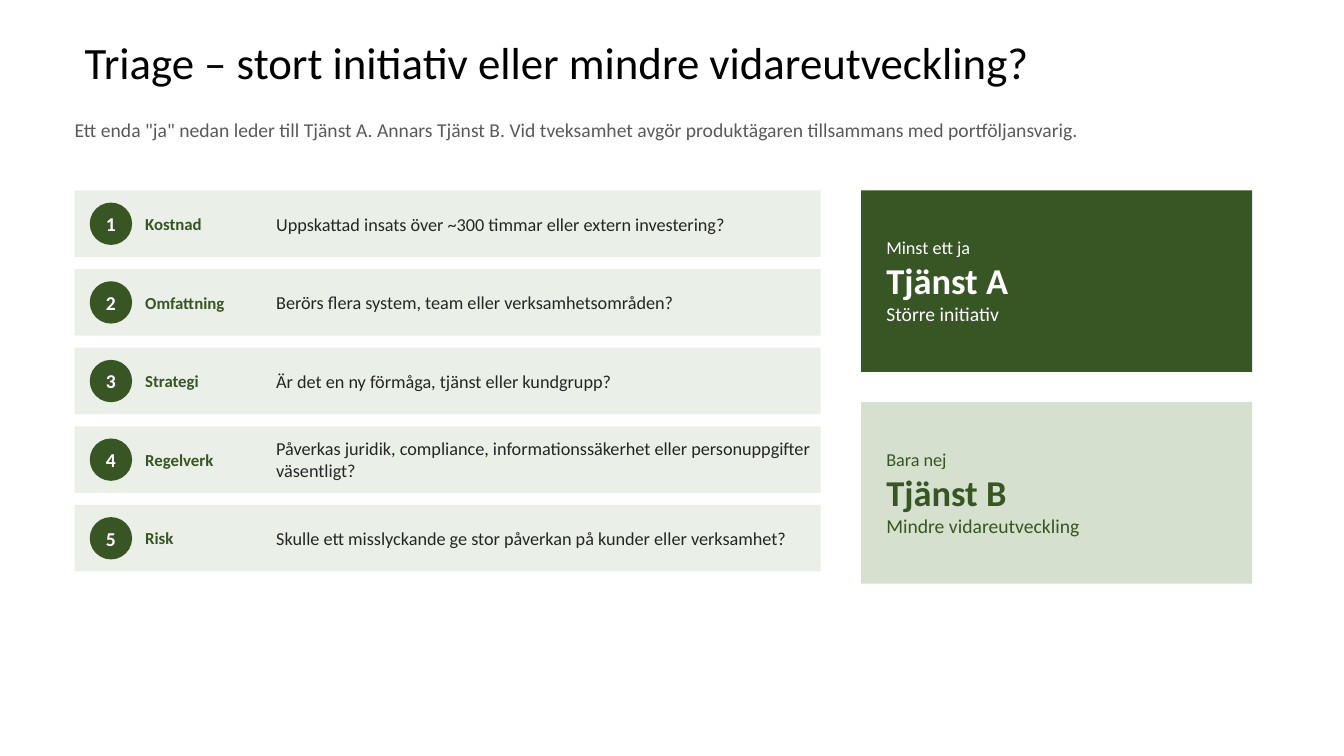
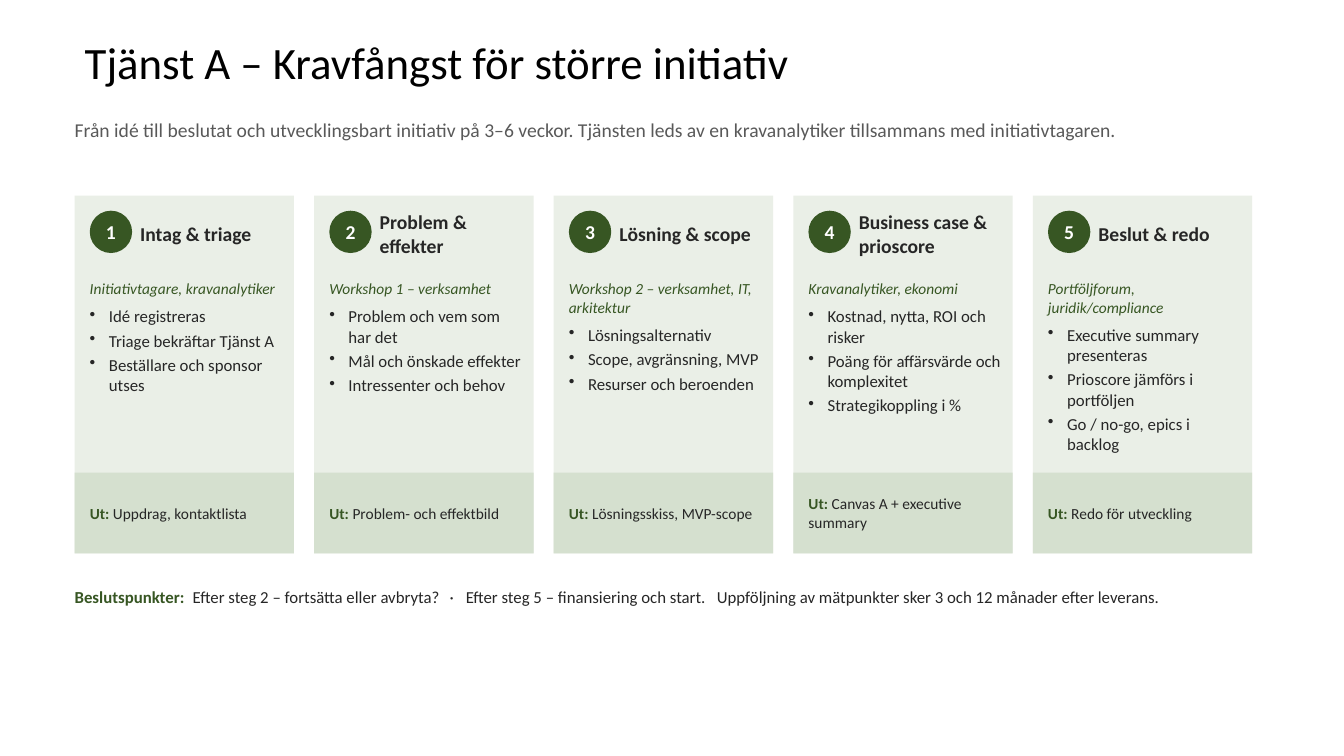
"""Build two slides on triage and the steps of Tjänst A."""
from lxml.etree import SubElement
from pptx import Presentation
from pptx.dml.color import RGBColor
from pptx.enum.shapes import MSO_SHAPE
from pptx.enum.text import MSO_ANCHOR, PP_ALIGN
from pptx.oxml.ns import qn
from pptx.util import Inches, Pt

DARK_GREEN = RGBColor(0x37, 0x56, 0x23)
MID_GREEN = RGBColor(0xD5, 0xE0, 0xCF)
PALE_GREEN = RGBColor(0xEA, 0xEF, 0xE7)
TEXT = RGBColor(0x26, 0x26, 0x26)
GREY = RGBColor(0x59, 0x59, 0x59)
BLACK = RGBColor(0, 0, 0)
WHITE = RGBColor(255, 255, 255)

FONT = "Calibri"
LEFT, CONTENT_WIDTH = 0.74, 11.68
BADGE = 0.42
PADDING = 0.15
STYLES = {
    "title": {"size": Pt(32), "bold": False},
    "subtitle": {"size": Pt(14), "bold": False},
    "heading": {"size": Pt(14), "bold": True},
    "label": {"size": Pt(12), "bold": True},
    "body": {"size": Pt(12), "bold": False},
    "question": {"size": Pt(13), "bold": False},
    "service": {"size": Pt(26), "bold": True},
    "roles": {"size": Pt(11), "italic": True},
    "output_label": {"size": Pt(11), "bold": True},
    "output": {"size": Pt(11), "bold": False},
}


def write(shape, paragraphs, side=0, anchor=MSO_ANCHOR.MIDDLE, alignment=PP_ALIGN.LEFT):
    """Fill a shape with paragraphs, each a list of (text, style, colour) runs."""
    frame = shape.text_frame
    frame_format = {
        "word_wrap": True, "vertical_anchor": anchor,
        "margin_left": Inches(side), "margin_right": Inches(side),
        "margin_top": Inches(0.08), "margin_bottom": Inches(0.08),
    }
    for name, value in frame_format.items():
        setattr(frame, name, value)
    for index, runs in enumerate(paragraphs):
        paragraph = frame.add_paragraph() if index else frame.paragraphs[0]
        paragraph.alignment = alignment
        for text, style, colour in runs:
            run = paragraph.add_run()
            run.text = text
            for name, value in {"name": FONT, **STYLES[style]}.items():
                setattr(run.font, name, value)
            run.font.color.rgb = colour
    return frame.paragraphs


def add_block(slide, kind, left, top, width, height, fill):
    """Add a filled shape without outline or shadow."""
    shape = slide.shapes.add_shape(kind, Inches(left), Inches(top), Inches(width), Inches(height))
    shape.shadow.inherit = False
    shape.fill.solid()
    shape.fill.fore_color.rgb = fill
    shape.line.fill.background()
    return shape


criteria = [
    ("Kostnad", "Uppskattad insats över ~300 timmar eller extern investering?"),
    ("Omfattning", "Berörs flera system, team eller verksamhetsområden?"),
    ("Strategi", "Är det en ny förmåga, tjänst eller kundgrupp?"),
    ("Regelverk", "Påverkas juridik, compliance, informationssäkerhet eller personuppgifter väsentligt?"),
    ("Risk", "Skulle ett misslyckande ge stor påverkan på kunder eller verksamhet?"),
]
services = [
    ("Minst ett ja", "Tjänst A", "Större initiativ", DARK_GREEN, WHITE),
    ("Bara nej", "Tjänst B", "Mindre vidareutveckling", MID_GREEN, DARK_GREEN),
]
steps = [
    ("Intag & triage", "Initiativtagare, kravanalytiker",
     ["Idé registreras", "Triage bekräftar Tjänst A", "Beställare och sponsor utses"],
     "Uppdrag, kontaktlista"),
    ("Problem & effekter", "Workshop 1 – verksamhet",
     ["Problem och vem som har det", "Mål och önskade effekter", "Intressenter och behov"],
     "Problem- och effektbild"),
    ("Lösning & scope", "Workshop 2 – verksamhet, IT, arkitektur",
     ["Lösningsalternativ", "Scope, avgränsning, MVP", "Resurser och beroenden"],
     "Lösningsskiss, MVP-scope"),
    ("Business case & prioscore", "Kravanalytiker, ekonomi",
     ["Kostnad, nytta, ROI och risker", "Poäng för affärsvärde och komplexitet", "Strategikoppling i %"],
     "Canvas A + executive summary"),
    ("Beslut & redo", "Portföljforum, juridik/compliance",
     ["Executive summary presenteras", "Prioscore jämförs i portföljen", "Go / no-go, epics i backlog"],
     "Redo för utveckling"),
]
headers = [
    ("Triage – stort initiativ eller mindre vidareutveckling?",
     'Ett enda "ja" nedan leder till Tjänst A. Annars Tjänst B. '
     "Vid tveksamhet avgör produktägaren tillsammans med portföljansvarig."),
    ("Tjänst A – Kravfångst för större initiativ",
     "Från idé till beslutat och utvecklingsbart initiativ på 3–6 veckor. "
     "Tjänsten leds av en kravanalytiker tillsammans med initiativtagaren."),
]

presentation = Presentation()
presentation.slide_width = Inches(13.33)
presentation.slide_height = Inches(7.5)

for title_text, subtitle_text in headers:
    slide = presentation.slides.add_slide(presentation.slide_layouts[5])
    title = slide.shapes.title
    title_place = {"left": LEFT, "top": 0.4, "width": CONTENT_WIDTH, "height": 0.49}
    for name, value in title_place.items():
        setattr(title, name, Inches(value))
    write(title, [[(title_text, "title", BLACK)]], side=0.1)[0].line_spacing = 0.9
    subtitle = slide.shapes.add_textbox(Inches(LEFT), Inches(1.09), Inches(CONTENT_WIDTH), Inches(0.6))
    write(subtitle, [[(subtitle_text, "subtitle", GREY)]], anchor=MSO_ANCHOR.TOP)

triage_slide, steps_slide = presentation.slides

row_height, row_gap = 0.66, 0.12
for index, (label, question) in enumerate(criteria):
    top = 1.89 + index * (row_height + row_gap)
    add_block(triage_slide, MSO_SHAPE.RECTANGLE, LEFT, top, 7.4, row_height, PALE_GREEN)
    badge = add_block(triage_slide, MSO_SHAPE.OVAL, LEFT + PADDING, top + (row_height - BADGE) / 2,
                      BADGE, BADGE, DARK_GREEN)
    write(badge, [[(str(index + 1), "heading", WHITE)]], alignment=PP_ALIGN.CENTER)
    cells = [(1.44, 1.3, label, "label", DARK_GREEN), (2.74, 5.3, question, "question", TEXT)]
    for left, width, text, style, colour in cells:
        cell = triage_slide.shapes.add_textbox(Inches(left), Inches(top), Inches(width), Inches(row_height))
        write(cell, [[(text, style, colour)]])

for index, (condition, service, scope, fill, colour) in enumerate(services):
    card = add_block(triage_slide, MSO_SHAPE.RECTANGLE, 8.54, 1.89 + index * 2.1, 3.88, 1.8, fill)
    write(card, [[(condition, "question", colour)], [(service, "service", colour)],
                 [(scope, "subtitle", colour)]], side=0.25)

column_gap = 0.2
column_width = (CONTENT_WIDTH - column_gap * (len(steps) - 1)) / len(steps)
for index, (heading, roles, activities, output) in enumerate(steps):
    left = LEFT + index * (column_width + column_gap)
    add_block(steps_slide, MSO_SHAPE.RECTANGLE, left, 1.94, column_width, 3.55, PALE_GREEN)
    badge = add_block(steps_slide, MSO_SHAPE.OVAL, left + PADDING, 1.94 + PADDING, BADGE, BADGE, DARK_GREEN)
    write(badge, [[(str(index + 1), "heading", WHITE)]], alignment=PP_ALIGN.CENTER)
    heading_box = steps_slide.shapes.add_textbox(Inches(left + 0.65), Inches(2.02), Inches(1.48), Inches(0.6))
    write(heading_box, [[(heading, "heading", TEXT)]])
    details = steps_slide.shapes.add_textbox(Inches(left + PADDING), Inches(2.69), Inches(1.93), Inches(1.95))
    lines = [[(roles, "roles", DARK_GREEN)]] + [[(activity, "body", TEXT)] for activity in activities]
    role_line, *bullet_lines = write(details, lines, anchor=MSO_ANCHOR.TOP)
    role_line.space_after = Pt(6)
    for paragraph in bullet_lines:
        paragraph.space_after = Pt(3)
        properties = paragraph._p.get_or_add_pPr()
        properties.set("marL", str(Inches(0.19)))
        properties.set("indent", str(-Inches(0.19)))
        SubElement(properties, qn("a:buChar")).set("char", "•")
    band = add_block(steps_slide, MSO_SHAPE.RECTANGLE, left, 4.69, column_width, 0.8, MID_GREEN)
    write(band, [[("Ut: ", "output_label", DARK_GREEN), (output, "output", TEXT)]], side=PADDING)

decisions = steps_slide.shapes.add_textbox(Inches(LEFT), Inches(5.74), Inches(CONTENT_WIDTH), Inches(0.75))
decision_text = "\t".join([
    "", "Efter steg 2 – fortsätta eller avbryta?", "·", "Efter steg 5 – finansiering och start.",
    "Uppföljning av mätpunkter sker 3 och 12 månader efter leverans.",
])
decision_line = write(decisions, [[("Beslutspunkter:", "label", DARK_GREEN), (decision_text, "body", TEXT)]],
                      anchor=MSO_ANCHOR.TOP)[0]
tab_list = SubElement(decision_line._p.get_or_add_pPr(), qn("a:tabLst"))
for position in (1.17, 3.72, 3.88, 6.37):
    tab = SubElement(tab_list, qn("a:tab"))
    tab.set("pos", str(Inches(position)))
    tab.set("algn", "l")

presentation.save("out.pptx")
